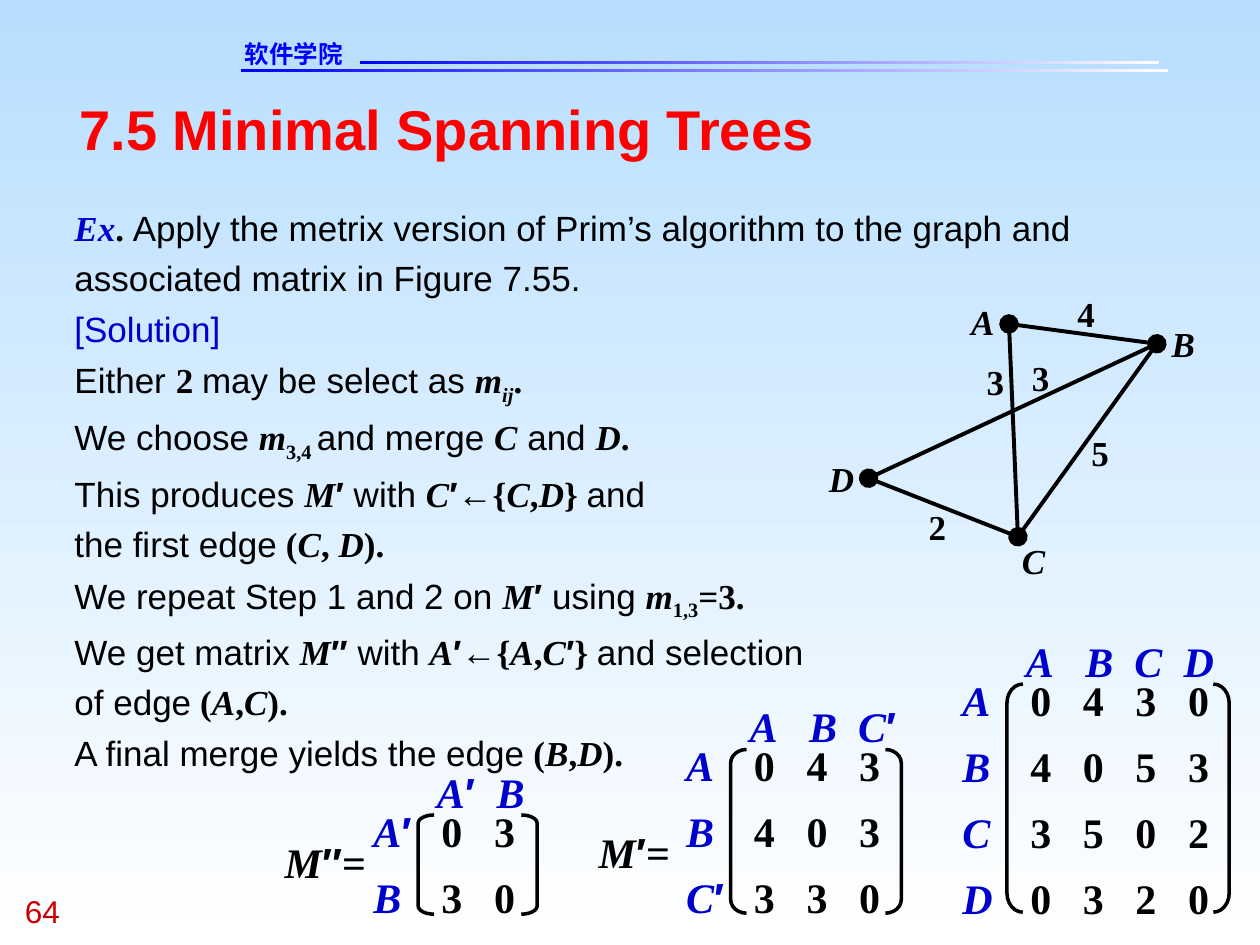
from dataclasses import dataclass
from itertools import groupby

from lxml.etree import SubElement
from pptx import Presentation
from pptx.dml.color import RGBColor
from pptx.enum.shapes import MSO_CONNECTOR as Connector, MSO_SHAPE as Shape
from pptx.enum.text import MSO_ANCHOR as Anchor, MSO_AUTO_SIZE as AutoSize, PP_ALIGN as Align
from pptx.oxml.ns import qn
from pptx.util import Cm, Pt


@dataclass(frozen=True)
class Theme:
    sans: str = "Arial"
    serif: str = "Times New Roman"
    school: str = "DejaVu Sans"
    ink: str = "000000"
    blue: str = "0000CC"
    bright: str = "0000FF"
    red: str = "FF0000"
    number: str = "CC0000"
    sky: str = "B7DEFF"
    white: str = "FFFFFF"
    title_size: int = 32
    matrix_size: int = 24
    body_size: int = 20
    number_size: int = 18
    school_size: int = 14


THEME = Theme()
STYLES = {
    "plain": dict(name=THEME.sans, color=THEME.ink),
    "solution": dict(name=THEME.sans, color=THEME.blue),
    "bold": dict(name=THEME.serif, color=THEME.ink, bold=True),
    "var": dict(name=THEME.serif, color=THEME.ink, bold=True, italic=True),
    "prime": dict(name=THEME.sans, color=THEME.ink, bold=True),
    "sub": dict(name=THEME.serif, color=THEME.ink, bold=True, base="-25000"),
    "subvar": dict(name=THEME.serif, color=THEME.ink, bold=True, italic=True, base="-25000"),
    "label": dict(name=THEME.serif, color=THEME.blue, bold=True, italic=True),
    "label prime": dict(name=THEME.sans, color=THEME.blue, bold=True),
    "title": dict(name=THEME.sans, color=THEME.red, bold=True),
    "school": dict(name=THEME.school, color=THEME.bright, bold=True),
    "number": dict(name=THEME.sans, color=THEME.number),
}
BODY = [
    [("label", "Ex"), ("bold", ". "),
     ("plain", "Apply the metrix version of Prim’s algorithm to the graph and "
               "associated matrix in Figure 7.55.")],
    [("solution", "[Solution]")],
    [("plain", "Either "), ("bold", "2 "), ("plain", "may be select as "),
     ("var", "m"), ("subvar", "ij"), ("bold", ".")],
    [("plain", "We choose "), ("var", "m"), ("sub", "3,4 "), ("plain", "and merge "),
     ("var", "C"), ("plain", " and "), ("var", "D"), ("bold", ".")],
    [("plain", "This produces "), ("var", "M"), ("prime", "′"), ("plain", " with "),
     ("var", "C"), ("prime", "′←"), ("bold", "{"), ("var", "C"), ("bold", ","),
     ("var", "D"), ("bold", "} "), ("plain", "and\nthe first edge"), ("bold", " ("),
     ("var", "C"), ("bold", ", "), ("var", "D"), ("bold", ").")],
    [("plain", "We repeat Step 1 and 2 on "), ("var", "M"), ("prime", "′ "),
     ("plain", "using "), ("var", "m"), ("sub", "1,3"), ("bold", "=3.")],
    [("plain", "We get matrix "), ("var", "M"), ("prime", "′′ "), ("plain", "with "),
     ("var", "A"), ("prime", "′←"), ("bold", "{"), ("var", "A"), ("bold", ","),
     ("var", "C"), ("prime", "′"), ("bold", "} "), ("plain", "and selection\nof edge"),
     ("bold", " ("), ("var", "A"), ("bold", ","), ("var", "C"), ("bold", ").")],
    [("plain", "A final merge yields the edge"), ("bold", " ("), ("var", "B"),
     ("bold", ","), ("var", "D"), ("bold", ").")],
]
VERTICES = {"A": (20.34, 6.53), "B": (23.32, 6.93), "C": (20.52, 10.82), "D": (17.51, 9.64)}
EDGES = [("B", "C", ()), ("A", "B", ()), ("B", "D", ("headEnd",)),
         ("A", "C", ("headEnd",)), ("D", "C", ("headEnd", "tailEnd"))]
WEIGHTS = [("3", 19.89, 7.26), ("3", 20.8, 7.19), ("5", 22, 8.69),
           ("4", 21.72, 5.89), ("2", 18.72, 10.19)]
VERTEX_LABELS = [("A", 19.58, 6.05), ("B", 23.62, 6.5), ("C", 20.6, 10.87), ("D", 16.71, 9.22)]
MATRICES = [
    (20.3, ["A", "B", "C", "D"], ["0430", "4053", "3502", "0320"]),
    (14.73, ["A", "B", "C′"], ["043", "403", "330"]),
    (8.43, ["A′", "B"], ["03", "30"]),
]
DIGIT_STOPS = [1.06, 2.12, 3.18]
HEADER_STOPS = [1.2, 2.19, 3.18]


def add_spans(para, spans, size):
    for style, text in spans:
        form = dict(STYLES[style], size=Pt(size))
        color, base = form.pop("color"), form.pop("base", None)
        for index, piece in enumerate(text.split("\n")):
            if index:
                para.add_line_break()
            span = para.add_run()
            span.text = piece
            for key, value in form.items():
                setattr(span.font, key, value)
            span.font.color.rgb = RGBColor.from_string(color)
            if base:
                span.font._element.set("baseline", base)


def set_tabs(para, stops):
    tabs = SubElement(para._p.get_or_add_pPr(), qn("a:tabLst"))
    for stop in stops:
        SubElement(tabs, qn("a:tab"), pos=str(Cm(stop)), algn="l")


def fill_text(box, place, paras, size, stops=(), **spacing):
    box.left, box.top, box.width, box.height = map(Cm, place)
    frame = box.text_frame
    settings = dict(margin_left=0, margin_top=0, margin_right=0, margin_bottom=0,
                    word_wrap=True, auto_size=AutoSize.NONE, vertical_anchor=Anchor.TOP)
    for key, value in settings.items():
        setattr(frame, key, value)
    for index, spans in enumerate(paras):
        para = frame.add_paragraph() if index else frame.paragraphs[0]
        if box.is_placeholder:
            props = para._p.get_or_add_pPr()
            props.set("marL", "0")
            props.set("indent", "0")
            SubElement(props, qn("a:buNone"))
        if stops:
            set_tabs(para, stops)
        para.alignment = Align.LEFT
        para.line_spacing = spacing.get("line", 1.0)
        para.space_before = Pt(spacing.get("before", 0) if index else 0)
        add_spans(para, spans, size)


def add_text(page, place, paras, size, stops=(), **spacing):
    box = page.shapes.add_textbox(0, 0, 0, 0)
    fill_text(box, place, paras, size, stops, **spacing)


def set_gradient(fill, colors, angle):
    fill.gradient()
    fill.gradient_angle = angle
    for stop, color in zip(fill.gradient_stops, colors):
        stop.color.rgb = RGBColor.from_string(color)


def add_rule(page, left, top, width):
    rule = page.shapes.add_shape(Shape.RECTANGLE, *map(Cm, (left, top, width, 0.06)))
    rule.shadow.inherit = False
    rule.line.fill.background()
    set_gradient(rule.fill, (THEME.bright, THEME.white), 0)


def add_edge(page, start, end, dots):
    edge = page.shapes.add_connector(Connector.STRAIGHT, *map(Cm, VERTICES[start] + VERTICES[end]))
    edge.line.width = Pt(2.25)
    edge.line.color.rgb = RGBColor.from_string(THEME.ink)
    for dot in dots:
        SubElement(edge.line._get_or_add_ln(), qn("a:" + dot), type="oval", w="lg", len="lg")
    SubElement(edge._element.spPr, qn("a:effectLst"))


def add_bracket(page, kind, left, top, height):
    width = 0.32
    bracket = page.shapes.add_shape(kind, *map(Cm, (left, top, width, height)))
    bracket.adjustments[0] = height / 12 / width
    bracket.shadow.inherit = False
    bracket.fill.background()
    bracket.line.width = Pt(2)
    bracket.line.color.rgb = RGBColor.from_string(THEME.ink)


def label_spans(text):
    return [("label prime" if prime else "label", "".join(letters))
            for prime, letters in groupby(text, lambda letter: letter == "′")]


def add_matrix(page, left, names, rows):
    count, size = len(names), THEME.matrix_size
    top, height = 13.79 + 1.32 * (4 - count), 1.3 * count - 0.6
    digits = [[("bold", "\t".join(row))] for row in rows]
    add_bracket(page, Shape.LEFT_BRACKET, left, top, height)
    add_bracket(page, Shape.RIGHT_BRACKET, left + 1.04 * count, top, height)
    add_text(page, (left + 0.47, top - 0.2, 1.06 * count, height + 0.4),
             digits, size, DIGIT_STOPS, before=9)
    add_text(page, (left - 0.9, top - 0.2, 0.9, height + 0.4),
             [label_spans(name) for name in names], size, before=9)
    add_text(page, (left + 0.38, top - 0.98, 1.04 * count, 1.02),
             [label_spans("\t".join(names))], size, HEADER_STOPS)


def main():
    deck = Presentation()
    deck.slide_width, deck.slide_height = Cm(25.4), Cm(19.05)
    page = deck.slides.add_slide(deck.slide_layouts[1])
    set_gradient(page.background.fill, (THEME.sky, THEME.white), 270)
    add_rule(page, 4.85, 1.4, 18.69)
    add_rule(page, 7.26, 1.24, 16.1)
    add_text(page, (4.93, 0.79, 3.68, 0.58), [[("school", "软件学院")]], THEME.school_size)
    add_text(page, (0.5, 17.98, 1.9, 0.76), [[("number", "64")]], THEME.number_size)
    title, body = page.placeholders
    fill_text(title, (1.6, 1.9, 22.22, 1.35),
              [[("title", "7.5 Minimal Spanning Trees")]], THEME.title_size)
    fill_text(body, (1.5, 3.99, 22.73, 11.58), BODY, THEME.body_size, line=1.2)
    for edge in EDGES:
        add_edge(page, *edge)
    for style, labels in (("bold", WEIGHTS), ("var", VERTEX_LABELS)):
        for text, left, top in labels:
            add_text(page, (left, top, 0.55, 0.84), [[(style, text)]], THEME.body_size)
    for matrix in MATRICES:
        add_matrix(page, *matrix)
    for primes, left, top in (("′", 12.07, 16.66), ("′′", 5.74, 16.87)):
        add_text(page, (left, top, 1.9, 1.02),
                 [[("var", "M"), ("prime", primes), ("bold", "=")]], THEME.matrix_size)
    deck.save("out.pptx")


if __name__ == "__main__":
    main()
